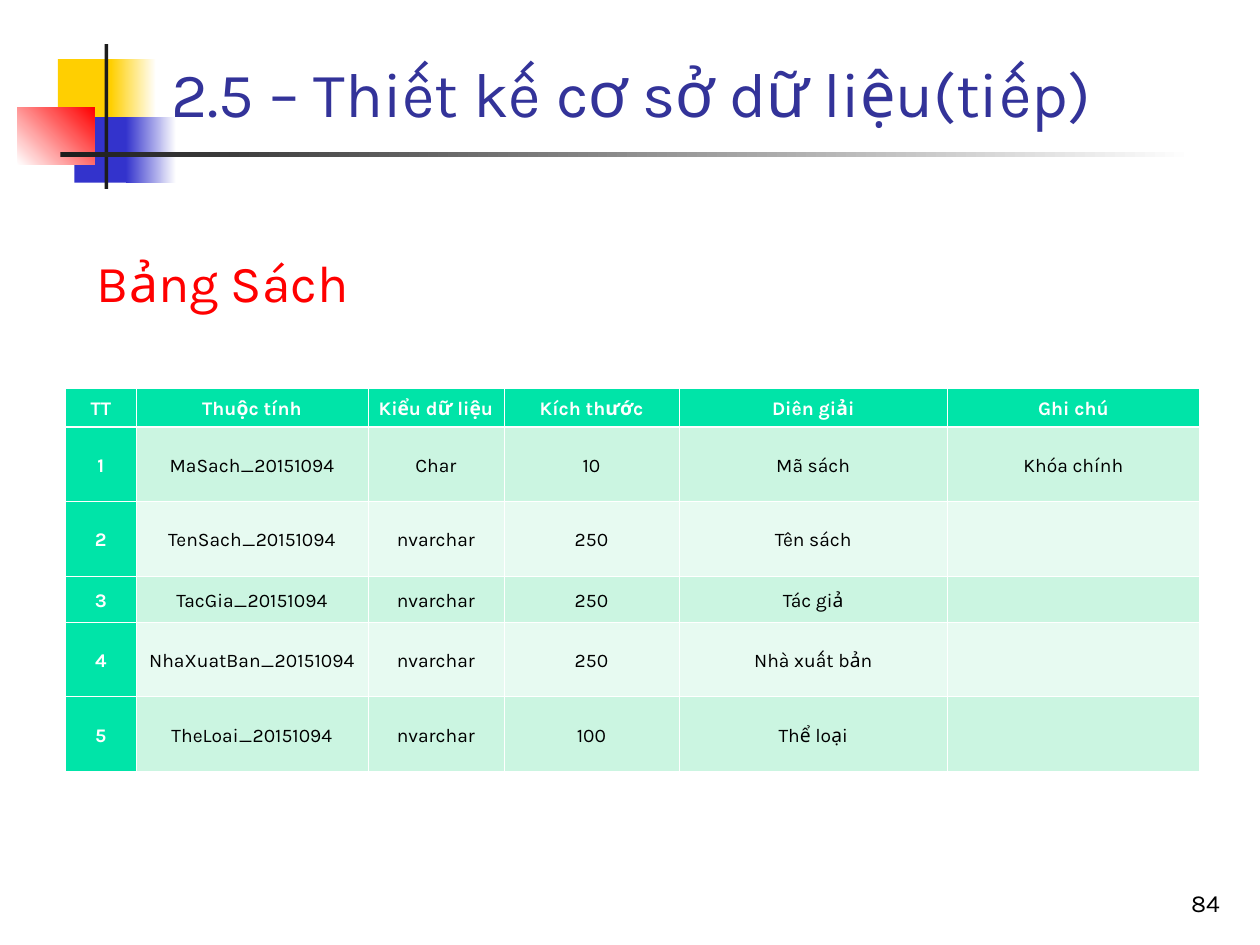
from dataclasses import dataclass
from typing import Any, Optional

from lxml.etree import SubElement
from pptx import Presentation
from pptx.dml.color import RGBColor
from pptx.enum.shapes import MSO_SHAPE as Preset
from pptx.enum.text import MSO_ANCHOR as Anchor, PP_ALIGN as Align
from pptx.oxml.ns import qn
from pptx.util import Inches, Pt

WHITE = RGBColor(0xFF, 0xFF, 0xFF)
BLACK = RGBColor(0x00, 0x00, 0x00)
YELLOW = RGBColor(0xFF, 0xCF, 0x01)
BLUE = RGBColor(0x33, 0x33, 0xCC)
RED = RGBColor(0xFF, 0x00, 0x00)
CHARCOAL = RGBColor(0x1C, 0x1C, 0x1C)
NAVY = RGBColor(0x33, 0x33, 0x99)
GREEN = RGBColor(0x00, 0xE4, 0xA8)
MINT = RGBColor(0xCB, 0xF5, 0xE1)
PALE_MINT = RGBColor(0xE7, 0xFA, 0xF1)

FONT = "Karla"
GRID_COLUMNS, GRID_ROWS = 100, 75
SLIDE_WIDTH, SLIDE_HEIGHT = Inches(10), Inches(7.5)


@dataclass(frozen=True)
class Area:
    column: float
    row: float
    columns: float
    rows: float

    def box(self) -> tuple[int, int, int, int]:
        return across(self.column), down(self.row), across(self.columns), down(self.rows)


@dataclass(frozen=True)
class Block:
    area: Area
    color: RGBColor
    fade_to: Optional[RGBColor] = None
    angle: float = 0


@dataclass(frozen=True)
class Label:
    text: str
    area: Area
    size: float
    color: RGBColor
    anchor: Anchor = Anchor.BOTTOM
    align: Align = Align.LEFT
    spacing: float = 1.0
    fill: Optional[RGBColor] = None


BLOCKS = [
    Block(Area(4.6, 4.7, 4.8, 5.2), YELLOW),
    Block(Area(8.8, 4.7, 3.6, 5.2), YELLOW, WHITE),
    Block(Area(5.9, 9.3, 4.6, 5.2), BLUE),
    Block(Area(10, 9.3, 4, 5.2), BLUE, WHITE),
    Block(Area(1.4, 8.5, 6.1, 4.6), WHITE, RED, 45),
    Block(Area(8.3, 3.5, 0.3, 11.5), CHARCOAL),
    Block(Area(4.8, 12.1, 90, 0.4), CHARCOAL, WHITE),
]

TITLE = Label("2.5 – Thiết kế cơ sở dữ liệu(tiếp)", Area(12.6, 2.3, 85.2, 8.5), 36, NAVY)
PAGE_NUMBER = Label("84", Area(77, 68.3, 20.8, 5), 14, BLACK, align=Align.RIGHT)
TABLE_NAME = Label("Bảng Sách", Area(6.7, 20, 30.8, 6.3), 29.6, RED,
                   anchor=Anchor.TOP, spacing=0.9, fill=WHITE)

TABLE_AREA = Area(5.2, 30.8, 90, 30.2)
COLUMN_WIDTHS = [5.6, 18.4, 10.8, 13.9, 21.3, 20]
ROW_HEIGHTS = [2.9, 5.9, 5.9, 3.7, 5.9, 5.9]
HEADERS = ["TT", "Thuộc tính", "Kiểu dữ liệu", "Kích thước", "Diên giải", "Ghi chú"]
FIELDS = [
    ["MaSach_20151094", "Char", "10", "Mã sách", "Khóa chính"],
    ["TenSach_20151094", "nvarchar", "250", "Tên sách", ""],
    ["TacGia_20151094", "nvarchar", "250", "Tác giả", ""],
    ["NhaXuatBan_20151094", "nvarchar", "250", "Nhà xuất bản", ""],
    ["TheLoai_20151094", "nvarchar", "100", "Thể loại", ""],
]
TABLE_TEXT_SIZE = 11
THIN_BORDER, HEADER_BORDER = 0.45, 1.47


def across(columns: float) -> int:
    return round(SLIDE_WIDTH * columns / GRID_COLUMNS)


def down(rows: float) -> int:
    return round(SLIDE_HEIGHT * rows / GRID_ROWS)


def apply(target: Any, values: dict[str, Any]) -> None:
    for name, value in values.items():
        setattr(target, name, value)


def paint(target: Any, color: RGBColor) -> None:
    target.fill.solid()
    target.fill.fore_color.rgb = color


def write(paragraph: Any, text: str, size: float, color: RGBColor, bold: bool,
          align: Align, spacing: float) -> None:
    apply(paragraph, {"alignment": align, "line_spacing": spacing})
    if text:
        run = paragraph.add_run()
        run.text = text
        apply(run.font, {"name": FONT, "size": Pt(size), "bold": bold})
        run.font.color.rgb = color
    else:
        SubElement(paragraph._p, qn("a:endParaRPr"), sz=str(size * 100))


def draw_block(slide: Any, block: Block) -> None:
    shape = slide.shapes.add_shape(Preset.RECTANGLE, *block.area.box())
    shape.shadow.inherit = False
    shape.line.fill.background()
    if block.fade_to is None:
        paint(shape, block.color)
    else:
        shape.fill.gradient()
        shape.fill.gradient_angle = block.angle
        for stop, color, position in zip(
            shape.fill.gradient_stops, (block.color, block.fade_to), (0, 1)
        ):
            stop.color.rgb = color
            stop.position = position


def draw_label(slide: Any, label: Label) -> None:
    if label.fill is None:
        shape = slide.shapes.add_textbox(*label.area.box())
    else:
        shape = slide.shapes.add_shape(Preset.RECTANGLE, *label.area.box())
        shape.shadow.inherit = False
        paint(shape, label.fill)
        shape.line.color.rgb = label.fill
        shape.line.width = Pt(0.75)
    apply(shape.text_frame, {"word_wrap": True, "vertical_anchor": label.anchor})
    write(shape.text_frame.paragraphs[0], label.text, label.size, label.color,
          False, label.align, label.spacing)


def draw_borders(cell: Any, widths: dict[str, float]) -> None:
    properties = cell._tc.get_or_add_tcPr()
    for index, (side, width) in enumerate(widths.items()):
        line = properties.makeelement(qn(f"a:{side}"), {"w": str(Pt(width))})
        solid = SubElement(line, qn("a:solidFill"))
        SubElement(solid, qn("a:srgbClr"), val=str(WHITE))
        properties.insert(index, line)


def draw_cell(cell: Any, text: str, row: int, column: int) -> None:
    heading = row == 0 or column == 0
    apply(cell, {
        "vertical_anchor": Anchor.MIDDLE,
        "margin_left": Inches(0.08),
        "margin_right": Inches(0.08),
        "margin_top": Inches(0.05),
        "margin_bottom": Inches(0.05),
    })
    paint(cell, GREEN if heading else MINT if row % 2 else PALE_MINT)
    draw_borders(cell, {
        "lnL": THIN_BORDER,
        "lnR": THIN_BORDER,
        "lnT": HEADER_BORDER if row == 1 else THIN_BORDER,
        "lnB": HEADER_BORDER if row == 0 else THIN_BORDER,
    })
    write(cell.text_frame.paragraphs[0], text, TABLE_TEXT_SIZE,
          WHITE if heading else BLACK, heading, Align.CENTER, 1.15)


def draw_table(slide: Any) -> None:
    contents = [HEADERS] + [[str(number), *field] for number, field in enumerate(FIELDS, 1)]
    table = slide.shapes.add_table(len(contents), len(HEADERS), *TABLE_AREA.box()).table
    for column, width in zip(table.columns, COLUMN_WIDTHS):
        column.width = across(width)
    for row, height in zip(table.rows, ROW_HEIGHTS):
        row.height = down(height)
    for row, texts in enumerate(contents):
        for column, text in enumerate(texts):
            draw_cell(table.cell(row, column), text, row, column)


def main() -> None:
    presentation = Presentation()
    apply(presentation, {"slide_width": SLIDE_WIDTH, "slide_height": SLIDE_HEIGHT})
    slide = presentation.slides.add_slide(presentation.slide_layouts[6])
    for block in BLOCKS:
        draw_block(slide, block)
    for label in (TITLE, PAGE_NUMBER):
        draw_label(slide, label)
    draw_table(slide)
    draw_label(slide, TABLE_NAME)
    presentation.save("out.pptx")


if __name__ == "__main__":
    main()
